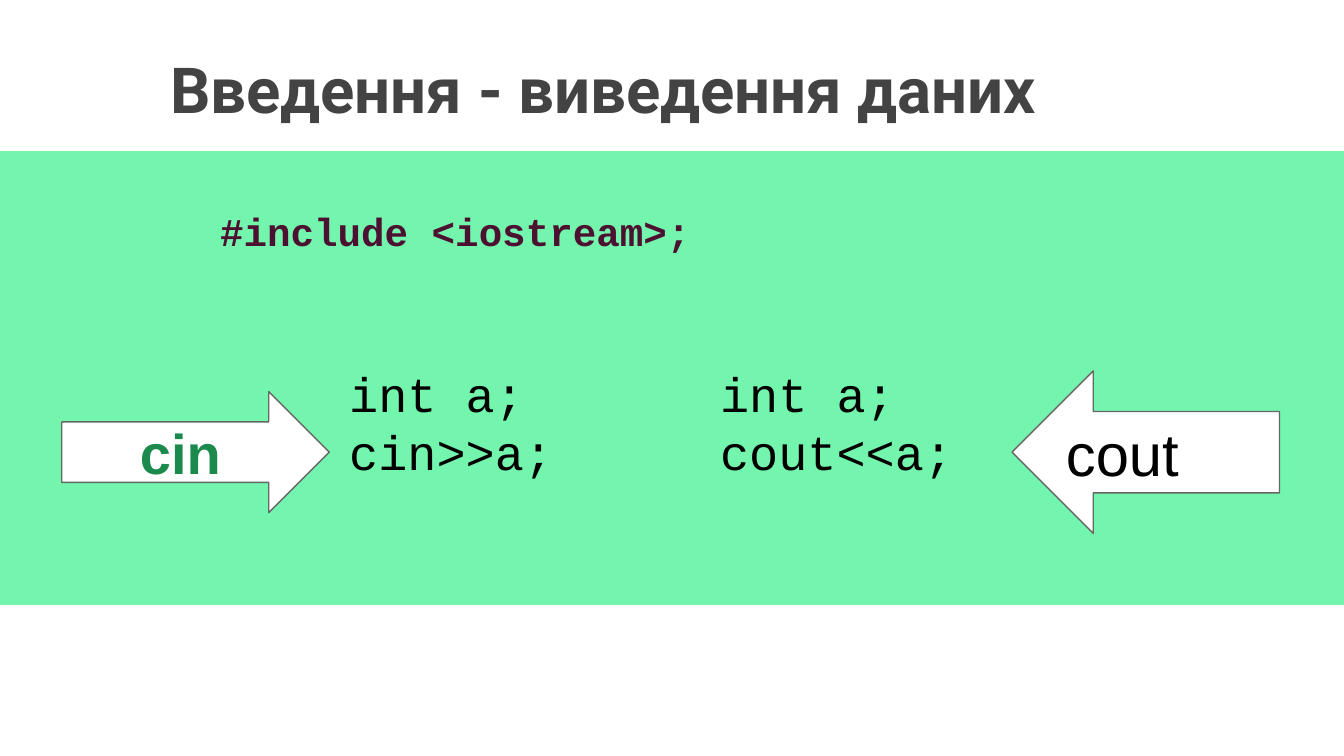
from pptx import Presentation
from pptx import util as u
from pptx.dml.color import RGBColor
from pptx.enum import shapes, text

WIDTH = 10
HEIGHT = WIDTH * 9 / 16
MARGIN = 0.46
ARROW_WIDTH = 1.99
ARROW_MIDDLE = 0.6 * HEIGHT - 0.01
CODE_TOP, CODE_WIDTH = 2.61, 2.44

presentation = Presentation()
presentation.slide_width = u.Inches(WIDTH)
presentation.slide_height = u.Inches(HEIGHT)
slide = presentation.slides.add_slide(presentation.slide_layouts[6])


def color(value):
    return RGBColor.from_string(value)


def write(shape, lines, size, ink, font="Courier New", bold=False,
          align=text.PP_ALIGN.LEFT, anchor=text.MSO_ANCHOR.TOP):
    """Fill a shape with one paragraph per line, all in the same format."""
    frame = shape.text_frame
    frame.word_wrap = True
    frame.vertical_anchor = anchor
    frame.margin_left = frame.margin_right = u.Inches(0.1)
    frame.margin_top = frame.margin_bottom = u.Inches(0.1)
    frame.text = "\n".join(lines)
    for paragraph in frame.paragraphs:
        paragraph.alignment = align
        paragraph.font.name = font
        paragraph.font.size = u.Pt(size)
        paragraph.font.bold = bold
        paragraph.font.color.rgb = color(ink)


# Green band across the slide
band = slide.shapes.add_shape(
    shapes.MSO_SHAPE.RECTANGLE, 0, u.Inches(0.2 * HEIGHT),
    u.Inches(WIDTH), u.Inches(0.6 * HEIGHT))
band.shadow.inherit = False
band.fill.solid()
band.fill.fore_color.rgb = color("73F5AD")
band.line.fill.background()

# Title and code
for left, top, width, height, lines, style in [
    (MARGIN, 0.27, 8.06, 1.22, ["Введення - виведення даних"],
     dict(size=34, ink="434343", font="Roboto", bold=True,
          align=text.PP_ALIGN.CENTER)),
    (2.5, CODE_TOP, CODE_WIDTH, 1.52, ["int a;", "cin>>a;"],
     dict(size=26, ink="000000")),
    (5.26, CODE_TOP, CODE_WIDTH, 2.15, ["int a;", "cout<<a;"],
     dict(size=26, ink="000000")),
    (1.54, 1.44, 4.36, 0.73, ["#inсlude <iostream>;"],
     dict(size=21, ink="4C1130", bold=True)),
]:
    box = slide.shapes.add_textbox(*map(u.Inches, (left, top, width, height)))
    write(box, lines, **style)

# Input and output arrows, centred on one line
for kind, left, height, label, style in [
    (shapes.MSO_SHAPE.RIGHT_ARROW, MARGIN, 0.9, "cin",
     dict(size=30, ink="1D8A4D", bold=True, align=text.PP_ALIGN.CENTER)),
    (shapes.MSO_SHAPE.LEFT_ARROW, 7.53, 1.21, "cout",
     dict(size=32, ink="000000")),
]:
    arrow = slide.shapes.add_shape(
        kind, u.Inches(left), u.Inches(ARROW_MIDDLE - height / 2),
        u.Inches(ARROW_WIDTH), u.Inches(height))
    arrow.shadow.inherit = False
    arrow.fill.solid()
    arrow.fill.fore_color.rgb = color("FFFFFF")
    arrow.line.color.rgb = color("666666")
    arrow.line.width = u.Pt(0.75)
    write(arrow, [label], font="Arial", anchor=text.MSO_ANCHOR.MIDDLE, **style)

presentation.save("out.pptx")
